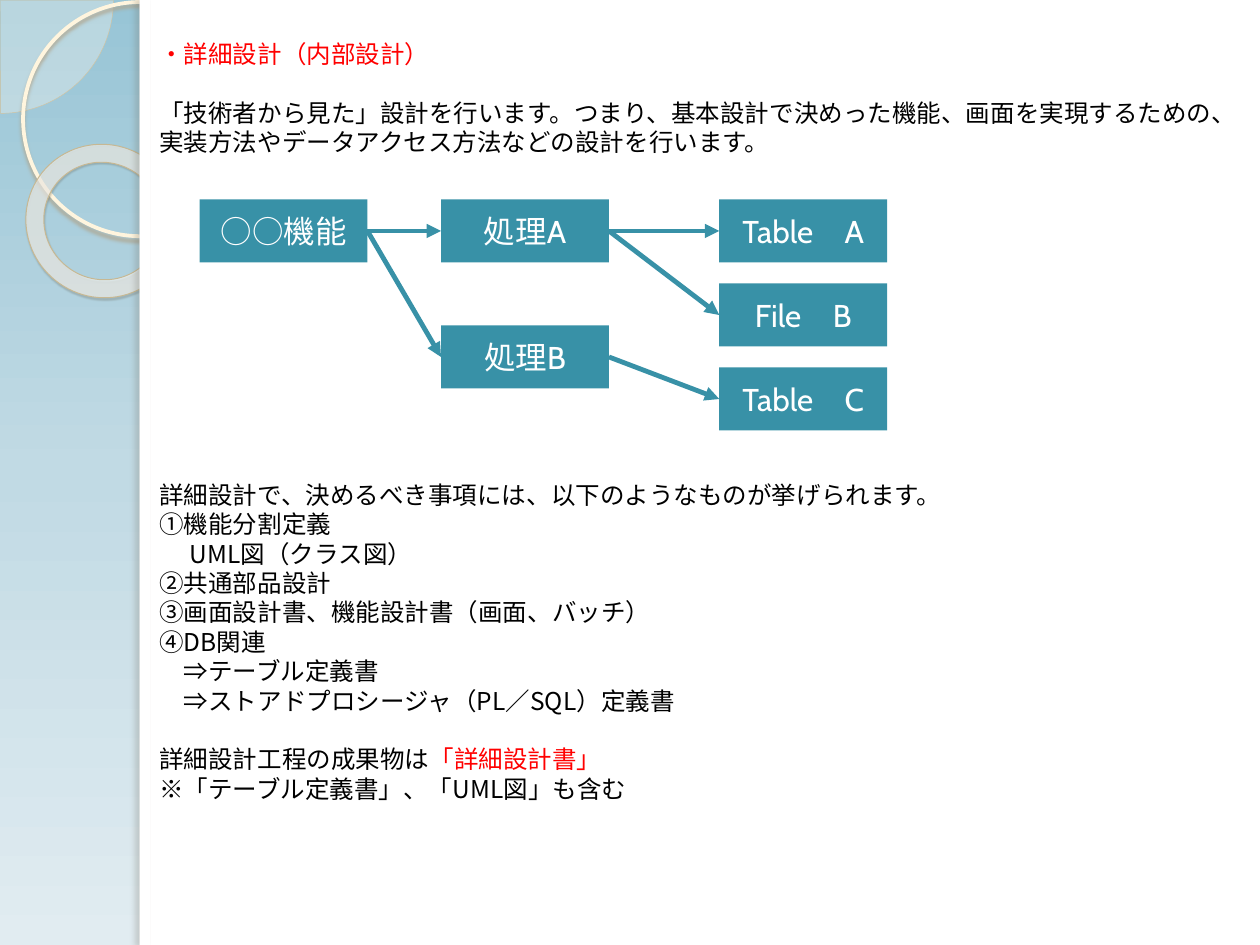
from copy import deepcopy
from dataclasses import dataclass

from lxml.etree import SubElement
from pptx import Presentation
from pptx.dml.color import RGBColor
from pptx.enum.shapes import MSO_CONNECTOR, MSO_SHAPE
from pptx.enum.text import MSO_ANCHOR, PP_ALIGN
from pptx.oxml.ns import qn
from pptx.util import Inches, Pt


@dataclass(frozen=True)
class Theme:
    sky: tuple = ("98C5D6", "E1ECF1", "C1DAE4")  # top, bottom, middle
    teal: str = "3891A7"
    white: str = "FFFFFF"
    black: str = "000000"
    red: str = "FF0000"
    cream: str = "FEFAF4"
    ivory: str = "FFF5DE"
    sand: str = "D3C39F"
    latin: str = "Cabin"
    asian: str = "Noto Sans CJK JP"
    body: int = 14
    label: int = 18
    pitch: float = 16.8  # body line height
    arrow: float = 2.75


def tint(node, alpha):
    for color in node.iter(qn("a:srgbClr")):
        SubElement(color, qn("a:alpha"), val=str(alpha * 1000))


class Deck:
    """Places elements on a grid of 120 columns by 90 rows."""

    def __init__(self, theme):
        self.theme = theme
        self.prs = Presentation()
        self.prs.slide_width, self.prs.slide_height = Inches(10), Inches(7.5)
        self.slide = self.prs.slides.add_slide(self.prs.slide_layouts[6])
        self.shapes = self.slide.shapes

    def grid(self, *cells):
        return [int(cell * self.prs.slide_width / 120) for cell in cells]

    def sky(self):
        fill = self.slide.background.fill
        fill.gradient()
        fill.gradient_angle = 270
        for stop, color in zip(fill.gradient_stops, self.theme.sky):
            stop.color.rgb = RGBColor.from_string(color)
        stops = self.slide.element.find(".//" + qn("a:gsLst"))
        mid = deepcopy(stops[0])
        mid.set("pos", "50000")
        mid.find(qn("a:srgbClr")).set("val", self.theme.sky[2])
        stops.insert(1, mid)

    def shape(self, kind, area, fill=None, alpha=None, line=None, adjust=(), shade=None):
        item = self.shapes.add_shape(kind, *self.grid(*area))
        item.shadow.inherit = False
        for i, value in enumerate(adjust):
            item.adjustments[i] = value
        if fill:
            item.fill.solid()
            item.fill.fore_color.rgb = RGBColor.from_string(fill)
            if alpha:
                tint(item.element.spPr.find(qn("a:solidFill")), alpha)
        else:
            item.fill.background()
        if line:
            item.line.color.rgb = RGBColor.from_string(line[0])
            item.line.width = Pt(line[1])
        else:
            item.line.fill.background()
        if shade:
            self.shade(item, *shade)
        return item

    def shade(self, item, color, alpha, blur, dist, angle):
        effects = item.element.spPr.find(qn("a:effectLst"))
        outer = SubElement(effects, qn("a:outerShdw"), blurRad=str(Pt(blur)),
                           dist=str(Pt(dist)), dir=str(angle * 60000), rotWithShape="0")
        SubElement(outer, qn("a:srgbClr"), val=color)
        tint(outer, alpha)

    def run(self, para, text, size, color, latin):
        run = para.add_run()
        run.text = text
        run.font.size = Pt(size)
        run.font.name = latin
        run.font.color.rgb = RGBColor.from_string(color)
        SubElement(run.font._element, qn("a:ea"), typeface=self.theme.asian)

    def box(self, text, col, row):
        item = self.shape(MSO_SHAPE.RECTANGLE, (col, row, 16, 6), self.theme.teal)
        frame = item.text_frame
        frame.vertical_anchor = MSO_ANCHOR.MIDDLE
        para = frame.paragraphs[0]
        para.alignment = PP_ALIGN.CENTER
        self.run(para, text, self.theme.label, self.theme.white, self.theme.latin)
        return item

    def arrow(self, start, end):
        link = self.shapes.add_connector(MSO_CONNECTOR.STRAIGHT, 0, 0, 0, 0)
        link.begin_connect(start, 3)  # right side
        link.end_connect(end, 1)  # left side
        link.line.color.rgb = RGBColor.from_string(self.theme.teal)
        link.line.width = Pt(self.theme.arrow)
        SubElement(link.line._get_or_add_ln(), qn("a:tailEnd"), type="triangle")
        SubElement(link.element.spPr, qn("a:effectLst"))

    def text(self, area, lines):
        frame = self.shapes.add_textbox(*self.grid(*area)).text_frame
        frame.word_wrap = True
        for i, (gap, indent, *runs) in enumerate(lines):
            para = frame.add_paragraph() if i else frame.paragraphs[0]
            para.line_spacing = Pt(self.theme.pitch)
            para.space_before = Pt(gap * self.theme.pitch)
            props = para._p.get_or_add_pPr()
            props.set("marL", str(Pt(indent * self.theme.body)))
            for words, color in runs:
                self.run(para, words, self.theme.body, color, self.theme.asian)


def main():
    theme = Theme()
    deck = Deck(theme)
    black, red = theme.black, theme.red

    # Side decoration
    deck.sky()
    deck.shape(MSO_SHAPE.PIE, (-10.7, -10.7, 21.5, 21.5), theme.cream, 33,
               (theme.sand, 0.25), (0, 54))
    deck.shape(MSO_SHAPE.OVAL, (2.2, 0.2, 22.3, 22.3), line=(theme.ivory, 2.15),
               shade=("B0A68F", 85, 2, 2, 90))
    ring = deck.shape(MSO_SHAPE.DONUT, (2.4, 13.8, 14.8, 14.5), theme.cream, 60,
                      ("C7B893", 0.58), (0.118,), ("5A5444", 35, 1, 1.2, 75))
    ring.rotation = 38.6

    # White page with a soft left edge
    for width, shade in ((106.7, None), (1, ("736F63", 25, 3, 3, 180))):
        deck.shape(MSO_SHAPE.RECTANGLE, (13.3, 0, width, 90), theme.white, shade=shade)

    # Explanations: blank lines before, indent in characters, runs
    deck.text((14, 3.1, 103, 12), [
        (0, 0, ("・詳細設計（内部設計）", red)),
        (1, 0, ("「技術者から見た」設計を行います。つまり、基本設計で決めった機能、"
                "画面を実現するための、実装方法やデータアクセス方法などの設計を行います。", black)),
    ])
    deck.text((14, 45.1, 103, 32), [
        (0, 0, ("詳細設計で、決めるべき事項には、以下のようなものが挙げられます。", black)),
        (0, 0, ("①機能分割定義", black)),
        (0, 1.25, ("UML図（クラス図）", black)),
        (0, 0, ("②共通部品設計", black)),
        (0, 0, ("③画面設計書、機能設計書（画面、バッチ）", black)),
        (0, 0, ("④DB関連", black)),
        (0, 1, ("⇒テーブル定義書", black)),
        (0, 1, ("⇒ストアドプロシージャ（PL／SQL）定義書", black)),
        (1, 0, ("詳細設計工程の成果物は", black), ("「詳細設計書」", red)),
        (0, 0, ("※「テーブル定義書」、「UML図」も含む", black)),
    ])

    # Function, processes and data stores
    root = deck.box("○○機能", 19, 19)
    first, second = [deck.box(f"処理{name}", 42, 19 + 12 * i) for i, name in enumerate("AB")]
    stores = [deck.box(name, 68.5, 19 + 8 * i)
              for i, name in enumerate(("Table　A", "File　B", "Table　C"))]
    for start, end in zip((root, root, first, first, second), (first, second, *stores)):
        deck.arrow(start, end)

    deck.prs.save("out.pptx")


if __name__ == "__main__":
    main()
